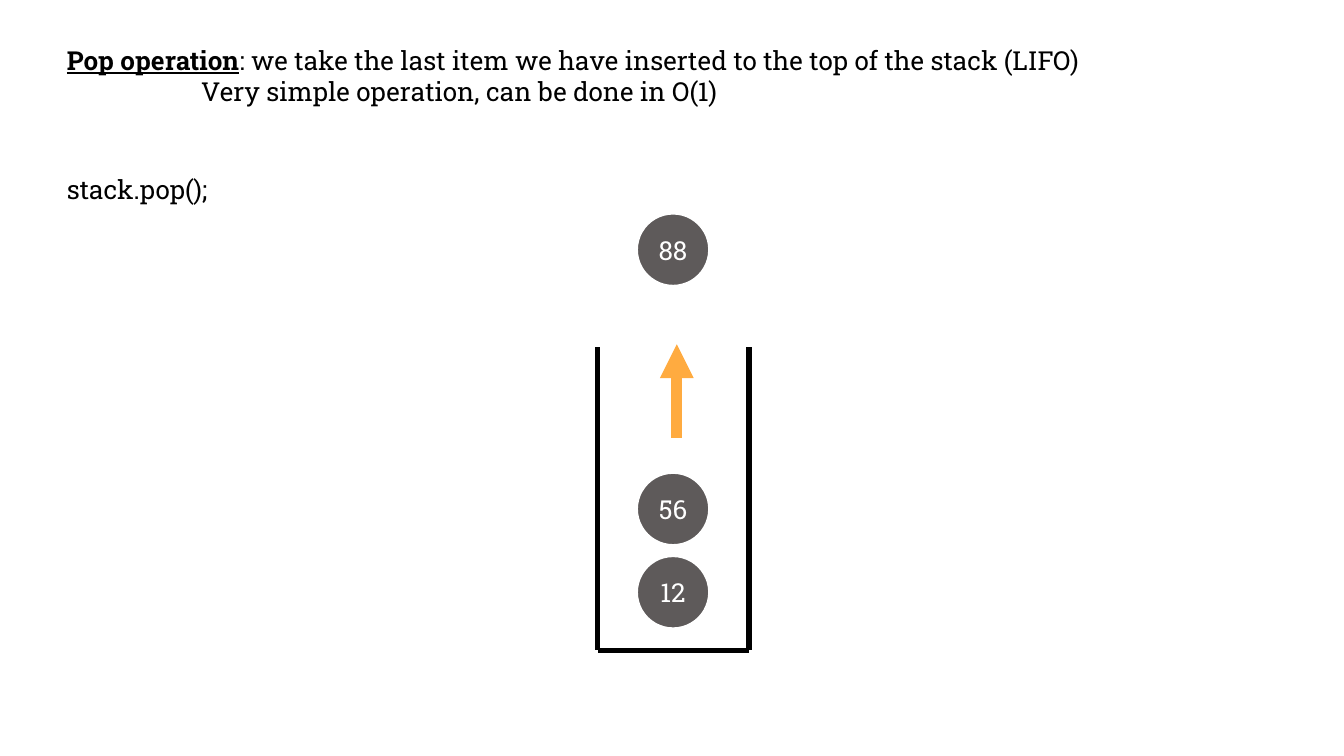
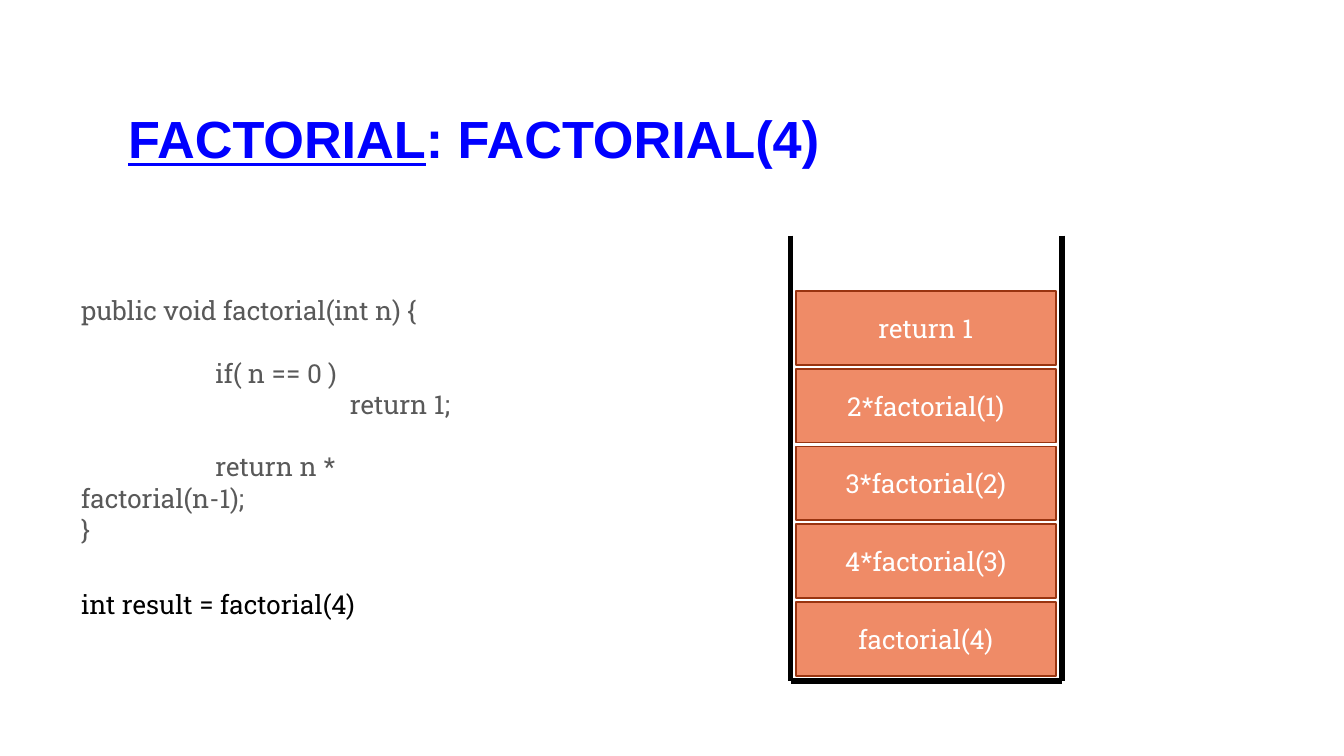
"""Build two slides on stacks: the pop operation and the factorial calls."""
from lxml.etree import SubElement
from pptx import Presentation
from pptx.dml.color import RGBColor
from pptx.enum.shapes import MSO_CONNECTOR, MSO_SHAPE
from pptx.enum.text import MSO_ANCHOR, MSO_AUTO_SIZE, PP_ALIGN
from pptx.oxml.ns import qn
from pptx.util import Pt

BLACK, WHITE, GREY, BLUE = "000000", "FFFFFF", "595959", "0000FF"
DISC, CARD, EDGE, ARROW = "5E5A5A", "EF8B67", "993410", "FFAB40"
BODY = {"name": "Roboto Slab", "size": Pt(14), "bold": False}
HEAD = {"name": "Arial", "size": Pt(28), "bold": True}
MARK = {"bold": True, "underline": True}
FRAME = {
    "margin_left": Pt(5.4), "margin_right": Pt(5.4),
    "margin_top": Pt(2.7), "margin_bottom": Pt(2.7),
    "word_wrap": True, "auto_size": MSO_AUTO_SIZE.NONE,
}
TAB = 72
GAP = 16.7


def style(item, values):
    for key, value in values.items():
        setattr(item, key, value)


def paint(color, code):
    color.rgb = RGBColor.from_string(code)


def write(para, runs, look, code):
    for text, extra in runs:
        run = para.add_run()
        run.text = text
        style(run.font, {**look, **extra})
        paint(run.font.color, code)


def add_text(slide, box, lines, code=BLACK):
    frame = slide.shapes.add_textbox(*map(Pt, box)).text_frame
    style(frame, FRAME)
    for index, (runs, tabs, gap) in enumerate(lines):
        para = frame.add_paragraph() if index else frame.paragraphs[0]
        if tabs:
            para._p.get_or_add_pPr().set("indent", str(Pt(tabs * TAB)))
        if gap:
            para.space_before = Pt(gap)
        write(para, runs, BODY, code)


def add_item(slide, kind, box, text, fill, edge):
    shape = slide.shapes.add_shape(kind, *map(Pt, box))
    shape.shadow.inherit = False
    shape.fill.solid()
    paint(shape.fill.fore_color, fill)
    paint(shape.line.color, edge)
    shape.line.width = Pt(1)
    frame = shape.text_frame
    style(frame, {**FRAME, "vertical_anchor": MSO_ANCHOR.MIDDLE})
    para = frame.paragraphs[0]
    para.alignment = PP_ALIGN.CENTER
    write(para, [(text, {})], BODY, WHITE)


def add_line(slide, ends, code=BLACK, width=3, tip=False):
    link = slide.shapes.add_connector(MSO_CONNECTOR.STRAIGHT, *map(Pt, ends))
    paint(link.line.color, code)
    link.line.width = Pt(width)
    props = link._element.spPr
    if tip:
        SubElement(props.find(qn("a:ln")), qn("a:tailEnd"), type="triangle")
    SubElement(props, qn("a:effectLst"))


def add_bin(slide, left, top, right, base):
    for ends in ((left, top, left, base), (right, top, right, base),
                 (left, base, right, base)):
        add_line(slide, ends)


def add_title(slide, box, runs):
    title = slide.shapes.title
    style(title, dict(zip(("left", "top", "width", "height"), map(Pt, box))))
    style(title.text_frame, {**FRAME, "vertical_anchor": MSO_ANCHOR.MIDDLE})
    para = title.text_frame.paragraphs[0]
    style(para, {"alignment": PP_ALIGN.LEFT, "line_spacing": 0.9})
    write(para, runs, HEAD, BLUE)


def make_pop(deck):
    slide = deck.slides.add_slide(deck.slide_layouts[6])
    add_bin(slide, 320.2, 186, 401.2, 348.5)
    add_text(slide, (30.4, 21, 560, 38), [
        ([("Pop operation", MARK),
          (": we take the last item we have inserted to the top of the stack (LIFO)", {})], 0, 0),
        ([("Very simple operation, can be done in O(1)", {})], 1, 0),
    ])
    for text, top in (("12", 298), ("56", 253.4), ("88", 114.5)):
        add_item(slide, MSO_SHAPE.OVAL, (341.3, top, 38.6, 38.6), text, DISC, WHITE)
    add_text(slide, (30.4, 90, 91, 22), [([("stack.pop();", {})], 0, 0)])
    add_line(slide, (362.6, 234.6, 362.6, 184.5), ARROW, 6, True)


def make_calls(deck):
    slide = deck.slides.add_slide(deck.slide_layouts[5])
    add_title(slide, (63.2, 28.6, 594, 95),
              [("FACTORIAL", {"underline": True}), (": FACTORIAL(4)", {})])
    code = (("public void factorial(int n) {", 0, 0), ("if( n == 0 )", 1, GAP),
            ("return 1;", 2, 0), ("return n * factorial(n-1);", 1, GAP), ("}", 0, 0))
    add_text(slide, (38, 155, 218, 120),
             [([(text, {})], tabs, gap) for text, tabs, gap in code], GREY)
    add_bin(slide, 423.5, 126.3, 569, 365)
    calls = ("factorial(4)", "4*factorial(3)", "3*factorial(2)",
             "2*factorial(1)", "return 1")
    for index, text in enumerate(calls):
        box = (426.4, 322.6 - 41.7 * index, 139.2, 39.6)
        add_item(slide, MSO_SHAPE.RECTANGLE, box, text, CARD, EDGE)
    add_text(slide, (38, 312.7, 210, 22), [([("int result = factorial(4)", {})], 0, 0)])


def main():
    deck = Presentation()
    style(deck, {"slide_width": Pt(720), "slide_height": Pt(405)})
    make_pop(deck)
    make_calls(deck)
    deck.save("out.pptx")


if __name__ == "__main__":
    main()
